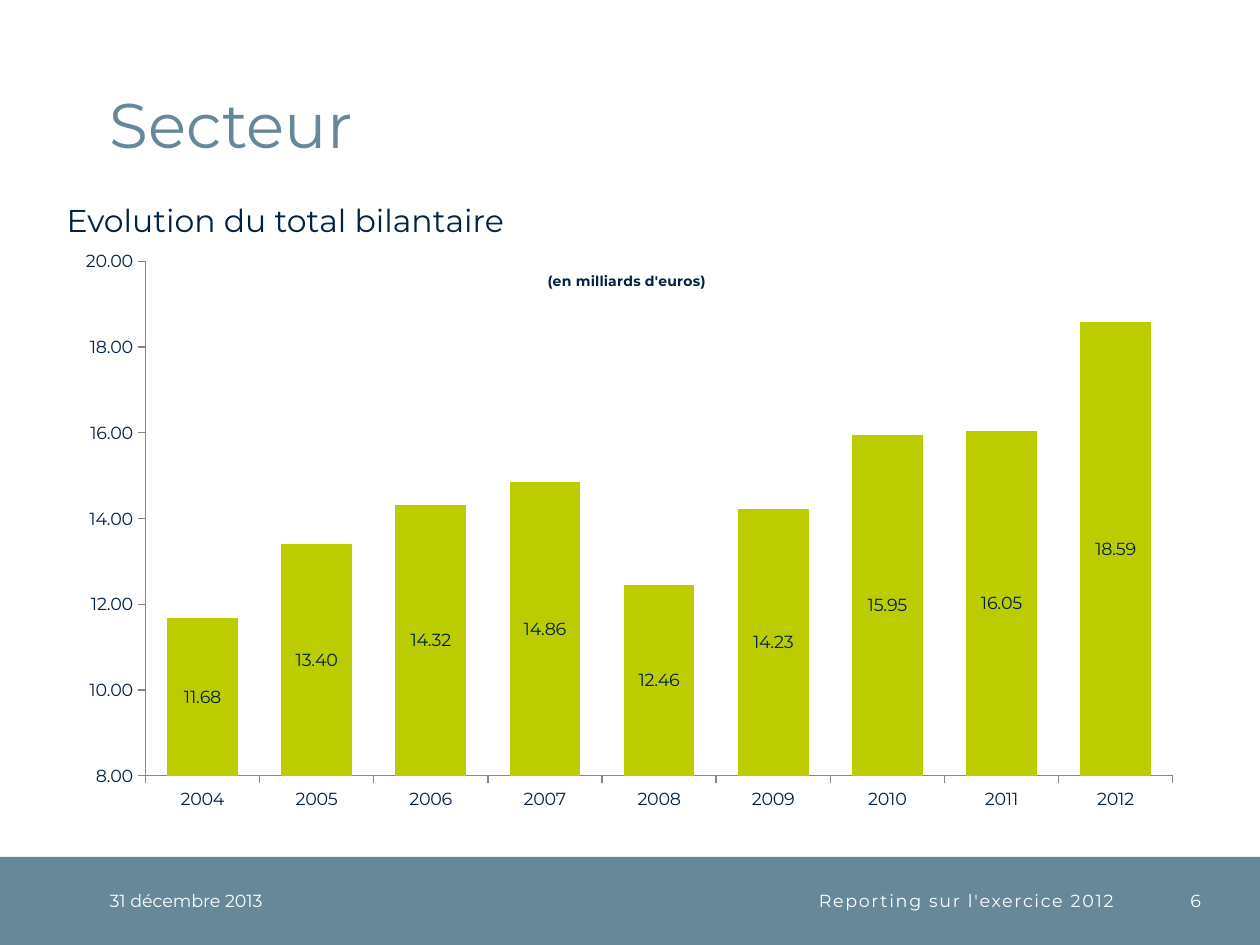
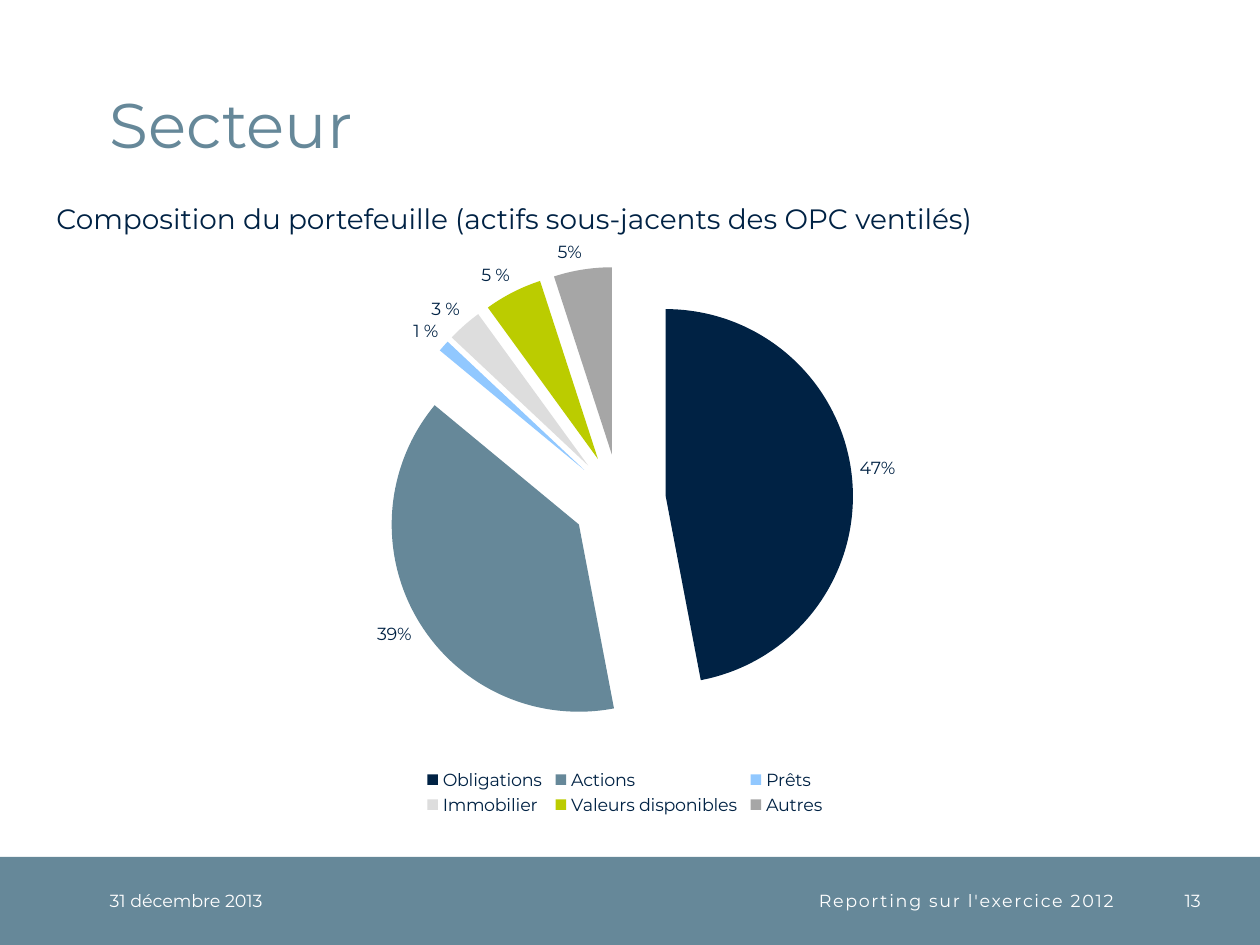
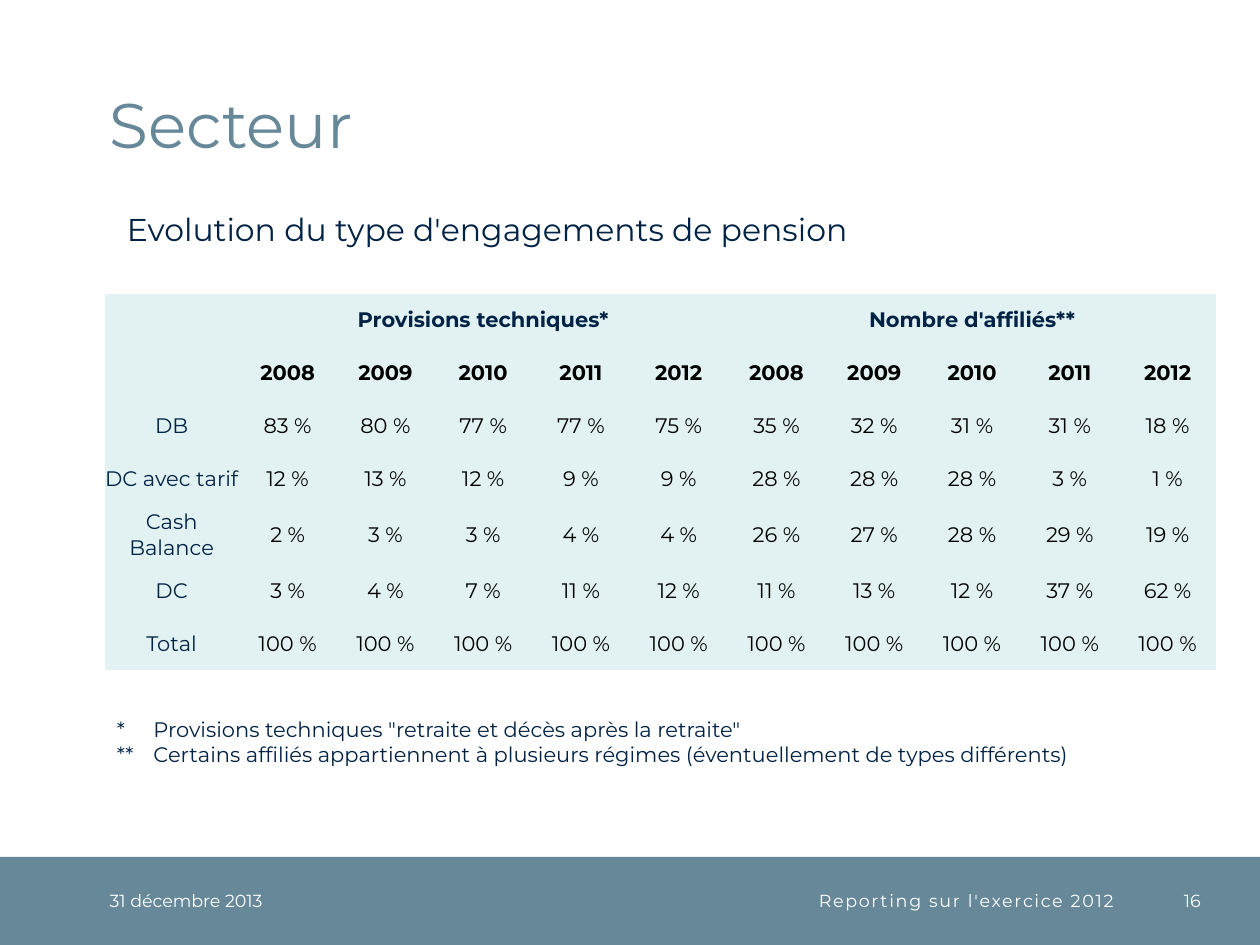
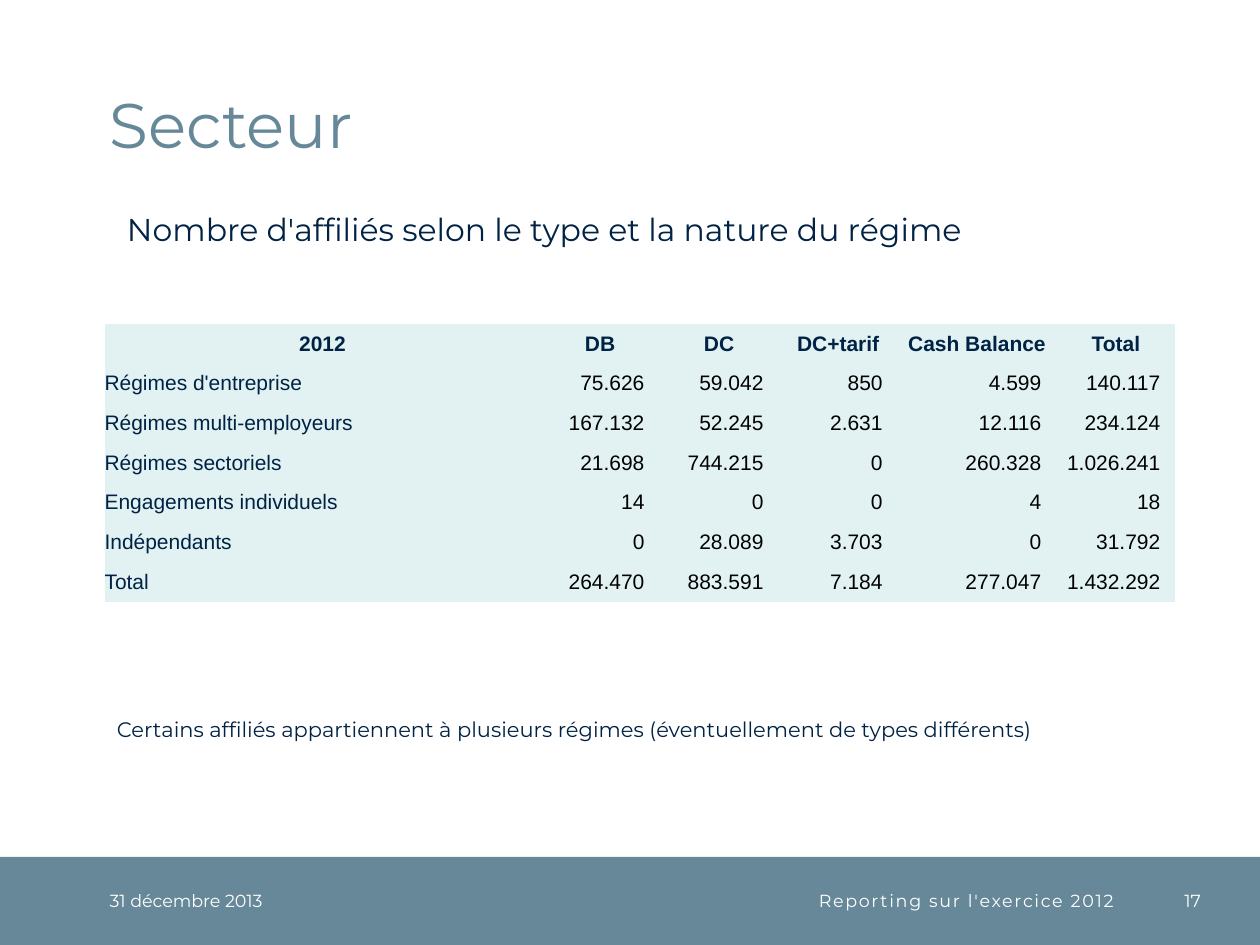
from lxml import etree
from pptx import Presentation
from pptx import util as u
from pptx.chart.data import CategoryChartData
from pptx.dml.color import RGBColor
from pptx.enum import chart as charts, shapes, text
from pptx.oxml import parse_xml
from pptx.oxml.ns import nsdecls, qn

NAVY, SLATE, LIME, WHITE, BLACK = "002244", "668899", "BBCC00", "FFFFFF", "000000"
MINT, AXIS_GREY = "E2F2F2", "868686"
FONT = "Montserrat"
LEFT, CENTER, RIGHT = text.PP_ALIGN.LEFT, text.PP_ALIGN.CENTER, text.PP_ALIGN.RIGHT
NO_TABLE_STYLE = "{2D5ABB26-0587-4C30-8999-92F81FD0307C}"
COLUMNS, ROWS = 100, 75

deck = Presentation()
deck.slide_width, deck.slide_height = u.Inches(10), u.Inches(7.5)
column, row = deck.slide_width / COLUMNS, deck.slide_height / ROWS


def spot(left, top, width, height):
    """Turn grid columns and rows into slide lengths."""
    return [u.Emu(round(size)) for size in
            (left * column, top * row, width * column, height * row)]


def write(frame, words, size, color, align=LEFT, bold=False, font=FONT):
    """Fill a text frame, one paragraph a line, in a single style."""
    frame.text = words
    for para in frame.paragraphs:
        para.alignment = align
        para.font.name, para.font.size, para.font.bold = font, u.Pt(size), bold
        para.font.color.rgb = RGBColor.from_string(color)


# Shared band, held by the layout
layout = deck.slide_layouts[5]
numbers = [6, 13, 16, 17]
pages = [deck.slides.add_slide(layout) for number in numbers]
band = pages[0].shapes.add_shape(shapes.MSO_SHAPE.RECTANGLE, *spot(0, 68, COLUMNS, 7))
band.shadow.inherit = False
band.fill.solid()
band.fill.fore_color.rgb = RGBColor.from_string(SLATE)
band.line.fill.background()
layout.shapes.element.insert(2, band.element)

# Title and footer of every page
for page, number in zip(pages, numbers):
    title = page.shapes.title
    title.left, title.top, title.width, title.height = spot(8.7, 2, 86.3, 10.8)
    write(title.text_frame, "Secteur", 36, SLATE)
    title.text_frame.paragraphs[0].line_spacing = u.Pt(32)
    title.text_frame.vertical_anchor = text.MSO_ANCHOR.BOTTOM
    title.text_frame.auto_size = text.MSO_AUTO_SIZE.NONE
    frames = [title.text_frame]
    for words, left, width, align, spacing in [
        ("31 décembre 2013", 8.7, 17.7, LEFT, 0),
        ("Reporting sur l'exercice 2012", 26.4, 62, RIGHT, 100),
        (str(number), 90.4, 4.9, RIGHT, 0),
    ]:
        box = page.shapes.add_textbox(*spot(left, 68, width, 7))
        box.text_frame.word_wrap = True
        box.text_frame.vertical_anchor = text.MSO_ANCHOR.MIDDLE
        write(box.text_frame, words, 10, WHITE, align)
        if spacing:
            box.element.xpath(".//a:defRPr")[0].set("spc", str(spacing))
        frames.append(box.text_frame)
    for frame in frames:
        frame.margin_left = frame.margin_top = frame.margin_right = frame.margin_bottom = 0

# Headings and footnotes
column_page, pie_page, share_page, member_page = pages
several = "Certains affiliés appartiennent à plusieurs régimes (éventuellement de types différents)"
for page, words, size, place in [
    (column_page, "Evolution du total bilantaire", 18, (4.3, 15.5, 42.5, 4)),
    (pie_page, "Composition du portefeuille (actifs sous-jacents des OPC ventilés)", 16,
     (3.5, 15.5, 85, 3.7)),
    (share_page, "Evolution du type d'engagements de pension", 18, (9.1, 16.2, 84.3, 4)),
    (member_page, "Nombre d'affiliés selon le type et la nature du régime", 18,
     (9.1, 16.2, 84.3, 4)),
    (share_page, "*\tProvisions techniques \"retraite et décès après la retraite\"\n**\t" + several,
     12, (8.3, 56.4, 87.4, 5)),
    (member_page, several, 12, (8.3, 56.4, 87.4, 3)),
]:
    box = page.shapes.add_textbox(*spot(*place))
    box.text_frame.word_wrap = True
    box.text_frame.auto_size = text.MSO_AUTO_SIZE.SHAPE_TO_FIT_TEXT
    write(box.text_frame, words, size, NAVY)
    if "\t" in words:
        for properties in box.element.xpath(".//a:pPr"):
            properties.set("marL", str(u.Inches(0.29)))
            properties.set("indent", str(u.Inches(-0.29)))

# Charts
balance = CategoryChartData()
balance.categories = [str(year) for year in range(2004, 2013)]
balance.add_series("Total bilantaire",
                   [11.68, 13.40, 14.32, 14.86, 12.46, 14.23, 15.95, 16.05, 18.59])
column_chart = column_page.shapes.add_chart(
    charts.XL_CHART_TYPE.COLUMN_STACKED, *spot(4.3, 14.7, 90.6, 50.4), balance).chart

slices = [("Obligations", 0.47, NAVY), ("Actions", 0.39, SLATE), ("Prêts", 0.01, "91C8FF"),
          ("Immobilier", 0.03, "DDDDDD"), ("Valeurs disponibles", 0.05, LIME),
          ("Autres", 0.05, "A6A6A6")]
portfolio = CategoryChartData()
portfolio.categories = [name for name, share, color in slices]
portfolio.add_series("Portefeuille", [share for name, share, color in slices])
pie_chart = pie_page.shapes.add_chart(
    charts.XL_CHART_TYPE.PIE, *spot(4.3, 17.8, 90.6, 47.2), portfolio).chart

for chart, label_format in [(column_chart, "0.00"), (pie_chart, "0%")]:
    chart.font.name, chart.font.size = FONT, u.Pt(10)
    chart.font.color.rgb = RGBColor.from_string(NAVY)
    chart.has_title = chart.has_legend = False
    labels = chart.plots[0].series[0].data_labels
    labels.show_value = True
    labels.number_format, labels.number_format_is_linked = label_format, False

plot = column_chart.plots[0]
plot.gap_width, plot.overlap, plot.vary_by_categories = 61, 100, False
plot.series[0].format.fill.solid()
plot.series[0].format.fill.fore_color.rgb = RGBColor.from_string(LIME)
column_chart.has_title = True
write(column_chart.chart_title.text_frame, "(en milliards d'euros)", 8, NAVY, CENTER, True)
values = column_chart.value_axis
values.minimum_scale, values.maximum_scale, values.major_unit = 8, 20, 2
values.has_major_gridlines = False
values.tick_labels.number_format = "#,##0.00"
values.tick_labels.number_format_is_linked = False
for axis in (values, column_chart.category_axis):
    axis.major_tick_mark = charts.XL_TICK_MARK.OUTSIDE
    axis.format.line.color.rgb = RGBColor.from_string(AXIS_GREY)
    axis.format.line.width = u.Pt(0.75)

pie = pie_chart.plots[0].series[0]
pie.data_labels.position = charts.XL_LABEL_POSITION.OUTSIDE_END
for index, (name, share, color) in enumerate(slices):
    point = pie.points[index]
    point.format.fill.solid()
    point.format.fill.fore_color.rgb = RGBColor.from_string(color)
    if name in ("Prêts", "Immobilier", "Valeurs disponibles"):
        label = point.data_label
        label.position = charts.XL_LABEL_POSITION.OUTSIDE_END
        label.text_frame.text = f"{share * 100:.0f} %"
        span = label.text_frame.paragraphs[0].runs[0]
        span.font.name, span.font.size = FONT, u.Pt(10)
        span.font.color.rgb = RGBColor.from_string(NAVY)
pie_space = pie_chart.element
for node in pie_space.xpath(".//c:ser/c:dPt[1] | .//c:dPt/c:spPr"):
    node.addprevious(parse_xml(f'<c:explosion {nsdecls("c")} val="25"/>'))
pie_chart.has_legend = True
pie_chart.legend.position = charts.XL_LEGEND_POSITION.BOTTOM
pie_chart.legend.include_in_layout = False

# Manual places inside the charts, as shares of each chart
column_space = column_chart.element
for owner, place in [
    (column_space.xpath(".//c:plotArea")[0], {"x": 0.08, "y": 0.12, "w": 0.9, "h": 0.81}),
    (column_space.xpath("c:chart/c:title")[0], {"x": 0.43, "y": 0.13}),
    (pie_space.xpath(".//c:plotArea")[0], {"x": 0.29, "y": 0.07, "w": 0.41, "h": 0.79}),
    (pie_space.xpath(".//c:legend")[0], {"x": 0.32, "y": 0.91, "w": 0.36, "h": 0.09}),
]:
    for old in owner.findall(qn("c:layout")):
        owner.remove(old)
    holder = parse_xml(f'<c:layout {nsdecls("c")}><c:manualLayout/></c:layout>')
    settings = {"xMode": "edge", "yMode": "edge", **place}
    if owner.tag == qn("c:plotArea"):
        settings = {"layoutTarget": "inner", **settings}
    for key, value in settings.items():
        etree.SubElement(holder[0], qn(f"c:{key}")).set("val", str(value))
    owner.insert(len(owner.xpath("c:tx | c:legendPos")), holder)

# Tables
years = [str(year) for year in range(2008, 2013)]
shares = [
    ("DB", [83, 80, 77, 77, 75, 35, 32, 31, 31, 18]),
    ("DC avec tarif", [12, 13, 12, 9, 9, 28, 28, 28, 3, 1]),
    ("Cash Balance", [2, 3, 3, 4, 4, 26, 27, 28, 29, 19]),
    ("DC", [3, 4, 7, 11, 12, 11, 13, 12, 37, 62]),
    ("Total", [100] * 10),
]
share_rows = [["", "Provisions techniques*", "", "", "", "", "Nombre d'affiliés**", "", "", "", ""],
              ["", *years, *years]]
share_rows += [[kind, *(f"{value} %" for value in line)] for kind, line in shares]
member_rows = [
    ["2012", "DB", "DC", "DC+tarif", "Cash Balance", "Total"],
    ["Régimes d'entreprise", "75.626", "59.042", "850", "4.599", "140.117"],
    ["Régimes multi-employeurs", "167.132", "52.245", "2.631", "12.116", "234.124"],
    ["Régimes sectoriels", "21.698", "744.215", "0", "260.328", "1.026.241"],
    ["Engagements individuels", "14", "0", "0", "4", "18"],
    ["Indépendants", "0", "28.089", "3.703", "0", "31.792"],
    ["Total", "264.470", "883.591", "7.184", "277.047", "1.432.292"],
]
tables = []
for page, lines, top, widths, heights, font, headers, aligns in [
    (share_page, share_rows, 23.3, [10.65] + [7.76] * 10, [4.2] * 4 + [4.7] + [4.2] * 2,
     FONT, 2, (CENTER, CENTER)),
    (member_page, member_rows, 25.7, [34.6, 9.45, 9.45, 9.45, 12.6, 9.45], [3.15] * 7,
     "Arial", 1, (LEFT, RIGHT)),
]:
    holder = page.shapes.add_table(len(lines), len(widths),
                                   *spot(8.3, top, sum(widths), sum(heights)))
    holder.element.xpath(".//a:tableStyleId")[0].text = NO_TABLE_STYLE
    table = holder.table
    table.first_row = table.horz_banding = False
    for table_column, width in zip(table.columns, widths):
        table_column.width = u.Emu(round(width * column))
    for table_row, height in zip(table.rows, heights):
        table_row.height = u.Emu(round(height * row))
    for r, line in enumerate(lines):
        for c, words in enumerate(line):
            cell = table.cell(r, c)
            header = r < headers
            align = CENTER if header else aligns[c > 0]
            color = NAVY if r == 0 or c == 0 else BLACK
            cell.fill.solid()
            cell.fill.fore_color.rgb = RGBColor.from_string(MINT)
            cell.vertical_anchor = text.MSO_ANCHOR.MIDDLE
            cell.margin_left = cell.margin_top = cell.margin_bottom = 0
            cell.margin_right = u.Inches(0.12) if align == RIGHT else 0
            write(cell.text_frame, words, 12, color, align, header, font)
    tables.append(table)

share_table = tables[0]
for first, last in [((0, 0), (1, 0)), ((0, 1), (0, 5)), ((0, 6), (0, 10))]:
    share_table.cell(*first).merge(share_table.cell(*last))

deck.save("out.pptx")
